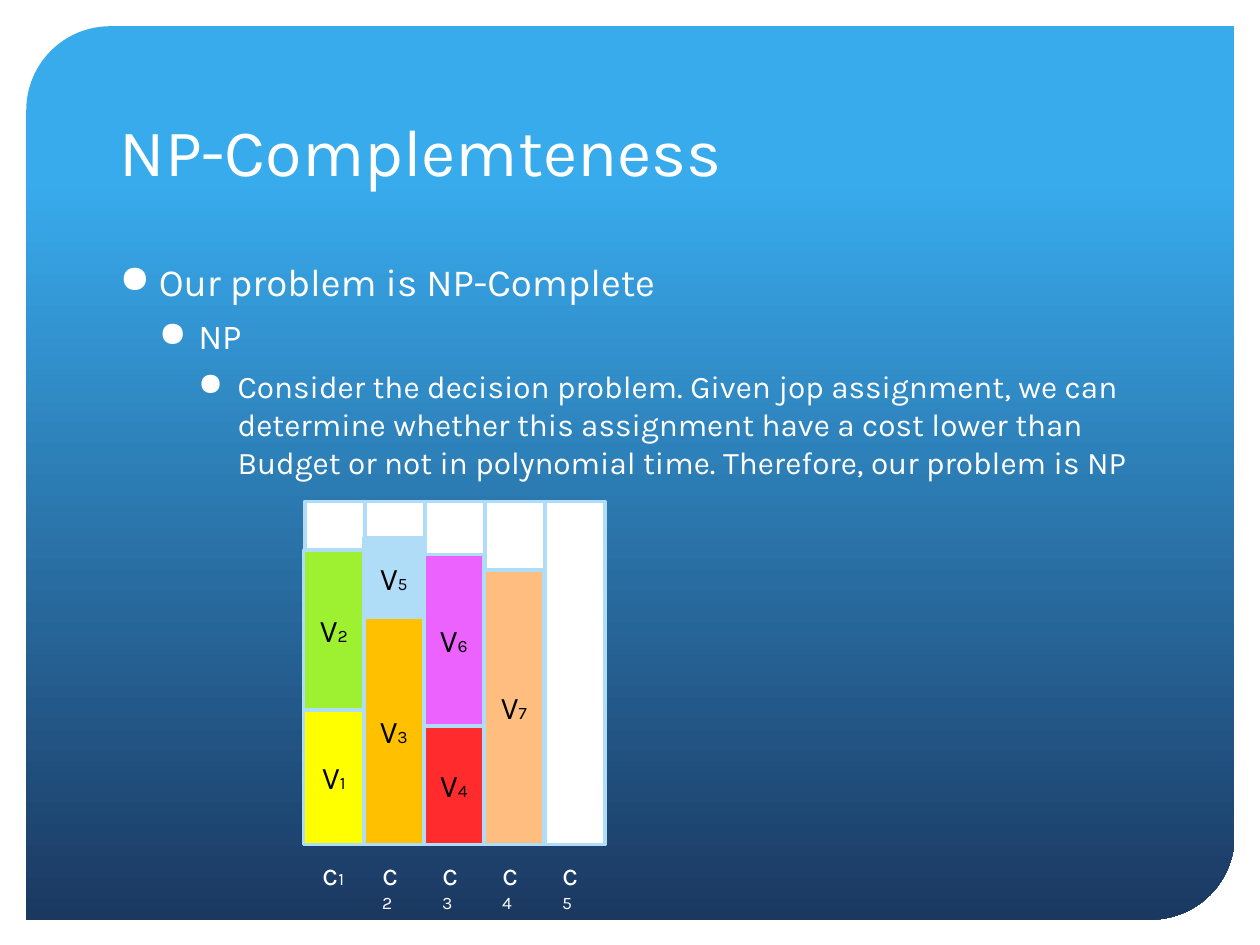
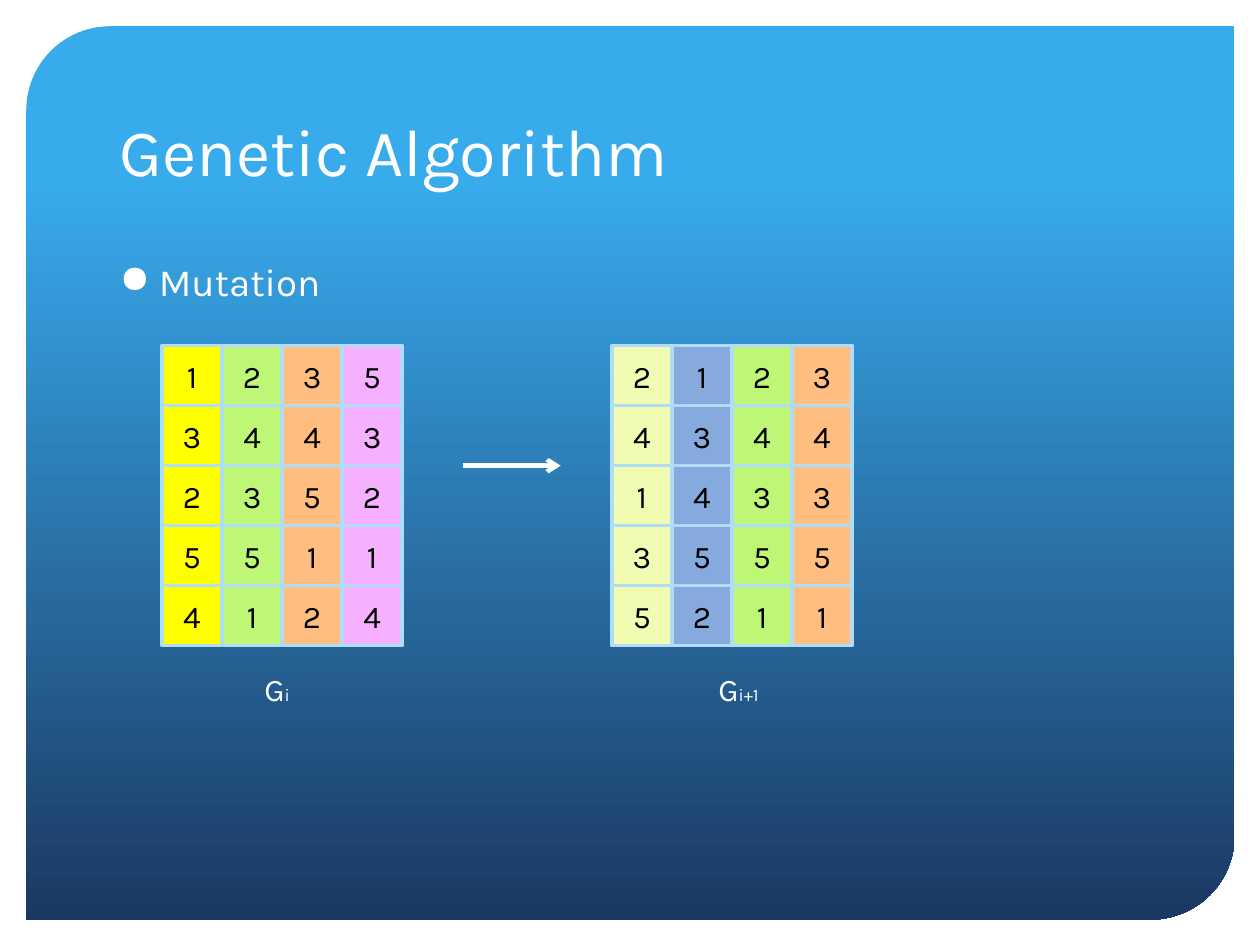
import lxml.etree
import pptx
import pptx.dml.color
import pptx.enum.shapes
import pptx.enum.text
import pptx.oxml.ns
import pptx.util

Pt = pptx.util.Pt
qn = pptx.oxml.ns.qn
ALIGN = pptx.enum.text.PP_ALIGN
ANCHOR = pptx.enum.text.MSO_ANCHOR
SHAPE = pptx.enum.shapes.MSO_SHAPE

WHITE, BLACK, OUTLINE = "FFFFFF", "000000", "AFDDF8"
YELLOW, LIME, PEACH, PINK = "FFFF00", "BEF676", "FFBE7F", "F5B0FF"
CREAM, STEEL = "F1FBB1", "86AADD"
CELL = 34.3
BULLETS = [
    {"size": 22, "before": 20, "left": 22.5, "hang": 22.5},
    {"size": 20, "before": 6, "left": 45, "hang": 22.5},
    {"size": 18, "before": 6, "left": 67.5, "hang": 22.5},
]


def color(value):
    return pptx.dml.color.RGBColor.from_string(value)


def apply(target, formats):
    for name, value in formats.items():
        setattr(target, name, value)


class Deck:
    """Holds the shared style and the current page, and draws each element."""

    def __init__(self):
        self.deck = pptx.Presentation()
        apply(self.deck, {"slide_width": Pt(720), "slide_height": Pt(540)})
        self.page = None

    def add_page(self, title):
        self.page = self.deck.slides.add_slide(self.deck.slide_layouts[6])
        panel = self.page.shapes.add_shape(
            SHAPE.ROUND_2_DIAG_RECTANGLE, Pt(15), Pt(15), Pt(690.5), Pt(510.5))
        panel.adjustments[0] = 0.094
        panel.shadow.inherit = False
        panel.line.fill.background()
        panel.fill.gradient()
        panel.fill.gradient_angle = 270
        stops = [(0.17, "38ABED"), (1, "1B3861")]
        for stop, (position, value) in zip(panel.fill.gradient_stops, stops):
            stop.position = position
            stop.color.rgb = color(value)
        frame = self.add_box(61.2, 30.2, 596.9, 82.1, ANCHOR.BOTTOM)
        self.add_span(frame.paragraphs[0], title, 38)

    def add_box(self, left, top, width, height, anchor=ANCHOR.TOP):
        box = self.page.shapes.add_textbox(Pt(left), Pt(top), Pt(width), Pt(height))
        apply(box.text_frame, {"word_wrap": True, "vertical_anchor": anchor})
        return box.text_frame

    def add_span(self, para, text, size, value=WHITE):
        span = para.add_run()
        span.text = text
        apply(span.font, {"name": "Karla", "size": Pt(size)})
        span.font.color.rgb = color(value)

    def add_symbol(self, para, letter, index, value=WHITE):
        self.add_span(para, letter, 18, value)
        if index:
            self.add_span(para, index, 10, value)

    def add_bullets(self, lines):
        frame = self.add_box(61.2, 144, 596.9, 331.2)
        for level, (text, style) in enumerate(zip(lines, BULLETS)):
            para = frame.add_paragraph() if level else frame.paragraphs[0]
            apply(para, {"level": level, "space_before": Pt(style["before"])})
            self.add_span(para, text, style["size"])
            properties = para._p.get_or_add_pPr()
            properties.set("marL", str(Pt(style["left"])))
            properties.set("indent", str(-Pt(style["hang"])))
            lxml.etree.SubElement(properties, qn("a:buChar")).set("char", "●")

    def add_cell(self, left, top, height, fill, letter="", index=""):
        cell = self.page.shapes.add_shape(
            SHAPE.RECTANGLE, Pt(left), Pt(top), Pt(CELL), Pt(height))
        cell.shadow.inherit = False
        cell.fill.solid()
        cell.fill.fore_color.rgb = color(fill)
        cell.line.color.rgb = color(OUTLINE)
        cell.line.width = Pt(2)
        if letter:
            apply(cell.text_frame, {"margin_left": 0, "margin_right": 0,
                                    "vertical_anchor": ANCHOR.MIDDLE})
            para = cell.text_frame.paragraphs[0]
            para.alignment = ALIGN.CENTER
            self.add_symbol(para, letter, index, BLACK)

    def add_label(self, left, top, width, letter, index):
        frame = self.add_box(left, top, width, 28.8)
        self.add_symbol(frame.paragraphs[0], letter, index)

    def add_grid(self, left, top, columns):
        for column, (fill, digits) in enumerate(columns):
            for row, digit in enumerate(digits):
                self.add_cell(left + column * CELL, top + row * CELL, CELL, fill, digit)

    def add_arrow(self, left, right, height):
        arrow = self.page.shapes.add_connector(
            pptx.enum.shapes.MSO_CONNECTOR.STRAIGHT,
            Pt(left), Pt(height), Pt(right), Pt(height))
        arrow.line.color.rgb = color(WHITE)
        arrow.line.width = Pt(2.5)
        properties = arrow.element.spPr
        tip = lxml.etree.SubElement(properties.find(qn("a:ln")), qn("a:tailEnd"))
        tip.set("type", "arrow")
        lxml.etree.SubElement(properties, qn("a:effectLst"))


def draw_completeness(deck):
    deck.add_page("NP-Complemteness")
    deck.add_bullets([
        "Our problem is NP-Complete",
        "NP",
        "Consider the decision problem. Given jop assignment, we can determine "
        "whether this assignment have a cost lower than Budget or not in "
        "polynomial time. Therefore, our problem is NP",
    ])
    floor, capacity = 482.6, 196
    for column in range(5):
        deck.add_cell(174.2 + column * CELL, floor - capacity, capacity, WHITE)
    stacks = [
        [("1", 77, YELLOW), ("2", 91.4, "9DF131")],
        [("3", 129.6, "FFC000"), ("5", 45.4, OUTLINE)],
        [("4", 67.9, "FF2B2C"), ("6", 97.9, "EB62FF")],
        [("7", 157, PEACH)],
    ]
    for column, stack in enumerate(stacks):
        top = floor
        for index, height, fill in stack:
            top -= height
            deck.add_cell(173.6 + column * CELL, top, height, fill, "V", index)
    for column in range(5):
        deck.add_label(177 + column * CELL, 484.6, 28.5, "c", str(column + 1))


def draw_mutation(deck):
    deck.add_page("Genetic Algorithm")
    deck.add_bullets(["Mutation"])
    top = 197.5
    deck.add_grid(92.6, top, [
        (YELLOW, "13254"), (LIME, "24351"), (PEACH, "34512"), (PINK, "53214")])
    deck.add_arrow(264.8, 320.4, 266.1)
    deck.add_grid(349.7, top, [
        (CREAM, "24135"), (STEEL, "13452"), (LIME, "24351"), (PEACH, "34351")])
    deck.add_label(144, 379.4, 29.5, "G", "i")
    deck.add_label(403.4, 379.4, 40.3, "G", "i+1")


def main():
    deck = Deck()
    draw_completeness(deck)
    draw_mutation(deck)
    deck.deck.save("out.pptx")


if __name__ == "__main__":
    main()
